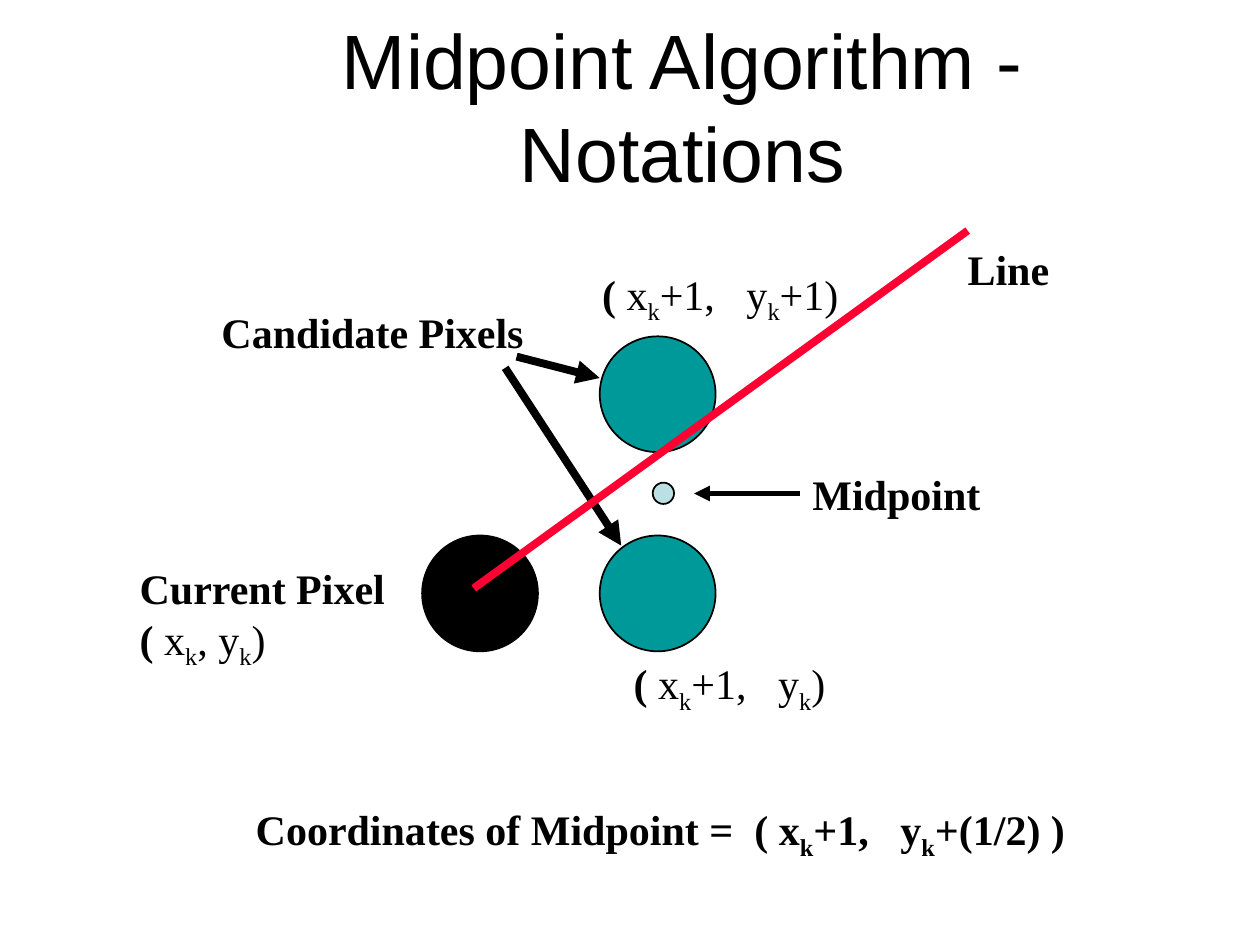
from pptx import Presentation, util as u
from pptx.dml.color import RGBColor
from pptx.enum import shapes, text
from pptx.oxml.ns import qn
from lxml import etree

Pt = u.Pt
COLORS = {"black": "000000", "teal": "009999", "pale": "BBE0E3", "red": "FF0033"}
TITLE = "Midpoint Algorithm - Notations"

# Pixels: left, top, diameter, fill
PIXELS = [
    (241.2, 306, 66.2, "black"),
    (342.7, 306, 66.2, "teal"),
    (342.7, 192.2, 66.2, "teal"),
    (373, 275.8, 12.2, "pale"),
]

# Labels: left, top, width, height, lines of (bold part, regular part); "_k" is a subscript k
LABELS = {
    "candidates": (119.5, 171.4, 187.2, 36, [("Candidate Pixels", "")]),
    "current": (72.7, 318.2, 154.8, 64.8, [("Current Pixel", ""), ("(", " x_k, y_k)")]),
    "midpoint": (457.2, 264, 110.2, 36, [("Midpoint", "")]),
    "line": (545.8, 135.4, 61.2, 36, [("Line", "")]),
    "formula": (139, 455.8, 478.8, 36,
                [("Coordinates of Midpoint =  ( x_k+1,   y_k+(1/2) )", "")]),
    "lower": (355, 372.2, 126, 36, [("(", " x_k+1,   y_k)")]),
    "upper": (337, 149.8, 151.2, 36, [("(", " x_k+1,   y_k+1)")]),
}

# Lines: start, end, colour, width, arrowhead, label joined at its left side
LINES = [
    ((288.7, 210.2), (355, 311.8), "black", 4.5, True, None),
    ((295.2, 203.8), (342.7, 216), "black", 4.5, True, None),
    ((270.7, 336.2), (553, 131.8), "red", 4.5, False, None),
    ((457.2, 282), (396.7, 282), "black", 3, True, "midpoint"),
]


def rgb(name):
    return RGBColor.from_string(COLORS[name])


def set_font(p, name, size):
    p.font.name, p.font.size = name, Pt(size)
    p.font.color.rgb = rgb("black")


def add_runs(p, content, bold):
    for i, part in enumerate(content.split("_k")):
        if i:
            r = p.add_run()
            r.text, r.font.bold = "k", bold
            r.font._element.set("baseline", "-25000")
        if part:
            r = p.add_run()
            r.text, r.font.bold = part, bold


def add_label(slide, left, top, width, height, lines):
    sp = slide.shapes.add_textbox(Pt(left), Pt(top), Pt(width), Pt(height))
    tf = sp.text_frame
    tf.word_wrap = False
    tf.auto_size = text.MSO_AUTO_SIZE.SHAPE_TO_FIT_TEXT
    for i, (bold, regular) in enumerate(lines):
        p = tf.add_paragraph() if i else tf.paragraphs[0]
        set_font(p, "Times New Roman", 24)
        add_runs(p, bold, True)
        add_runs(p, regular, False)
    return sp


def add_pixel(slide, left, top, size, fill):
    sp = slide.shapes.add_shape(shapes.MSO_SHAPE.OVAL, Pt(left), Pt(top), Pt(size), Pt(size))
    sp.shadow.inherit = False
    sp.fill.solid()
    sp.fill.fore_color.rgb = rgb(fill)
    sp.line.color.rgb = rgb("black")
    sp.line.width = Pt(1)


def add_line(slide, start, end, color, width, arrow, label):
    ends = [Pt(v) for v in start + end]
    cx = slide.shapes.add_connector(shapes.MSO_CONNECTOR.STRAIGHT, *ends)
    cx.line.color.rgb = rgb(color)
    cx.line.width = Pt(width)
    if arrow:
        etree.SubElement(cx.line._get_or_add_ln(), qn("a:tailEnd"), type="triangle")
    etree.SubElement(cx._element.spPr, qn("a:effectLst"))
    if label is not None:
        cx.begin_connect(label, 1)


def main():
    prs = Presentation()
    prs.slide_width, prs.slide_height = Pt(720), Pt(540)
    slide = prs.slides.add_slide(prs.slide_layouts[6])

    # Diagram
    for pixel in PIXELS:
        add_pixel(slide, *pixel)
    labels = {key: add_label(slide, *label) for key, label in LABELS.items()}
    for *line, key in LINES:
        add_line(slide, *line, labels.get(key))

    # Title
    tf = slide.shapes.add_textbox(Pt(138), Pt(12), Pt(504), Pt(96)).text_frame
    tf.word_wrap = True
    tf.vertical_anchor = text.MSO_ANCHOR.MIDDLE
    p = tf.paragraphs[0]
    p.text, p.alignment = TITLE, text.PP_ALIGN.CENTER
    set_font(p, "Arial", 44)

    prs.save("out.pptx")


if __name__ == "__main__":
    main()
